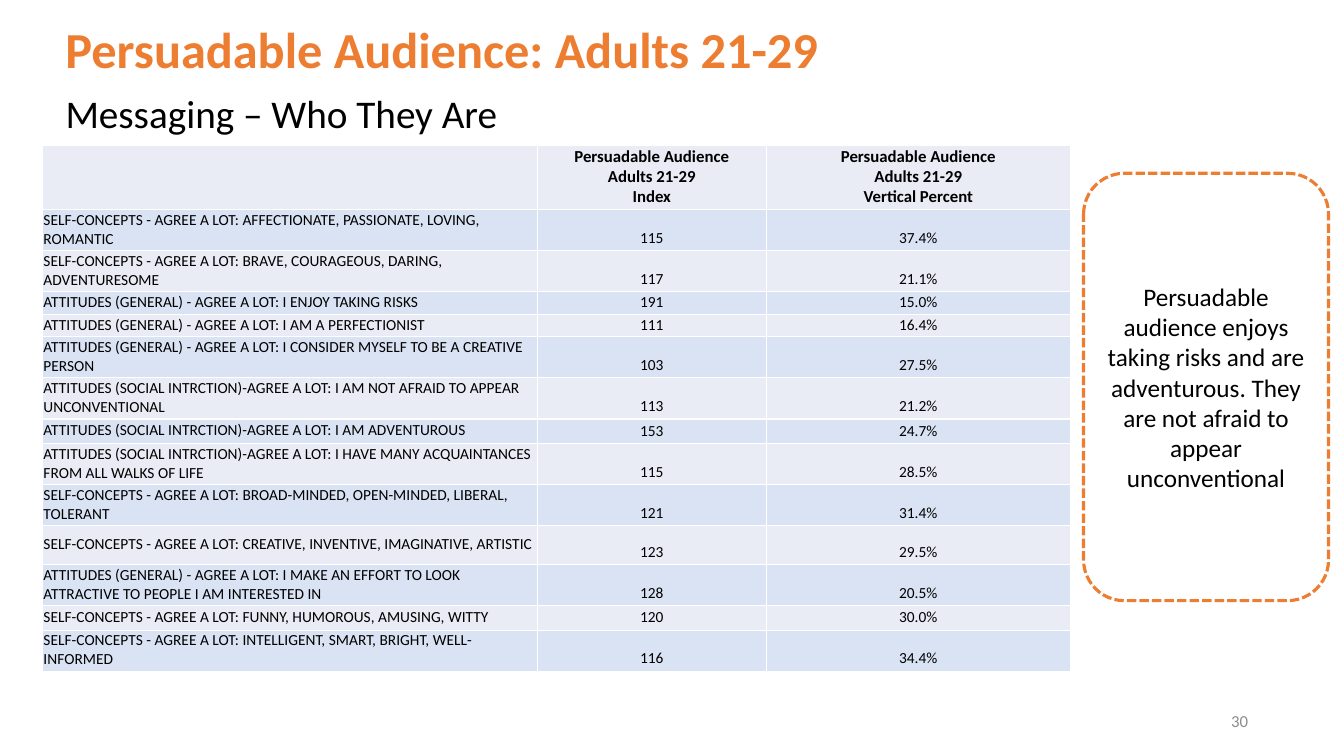
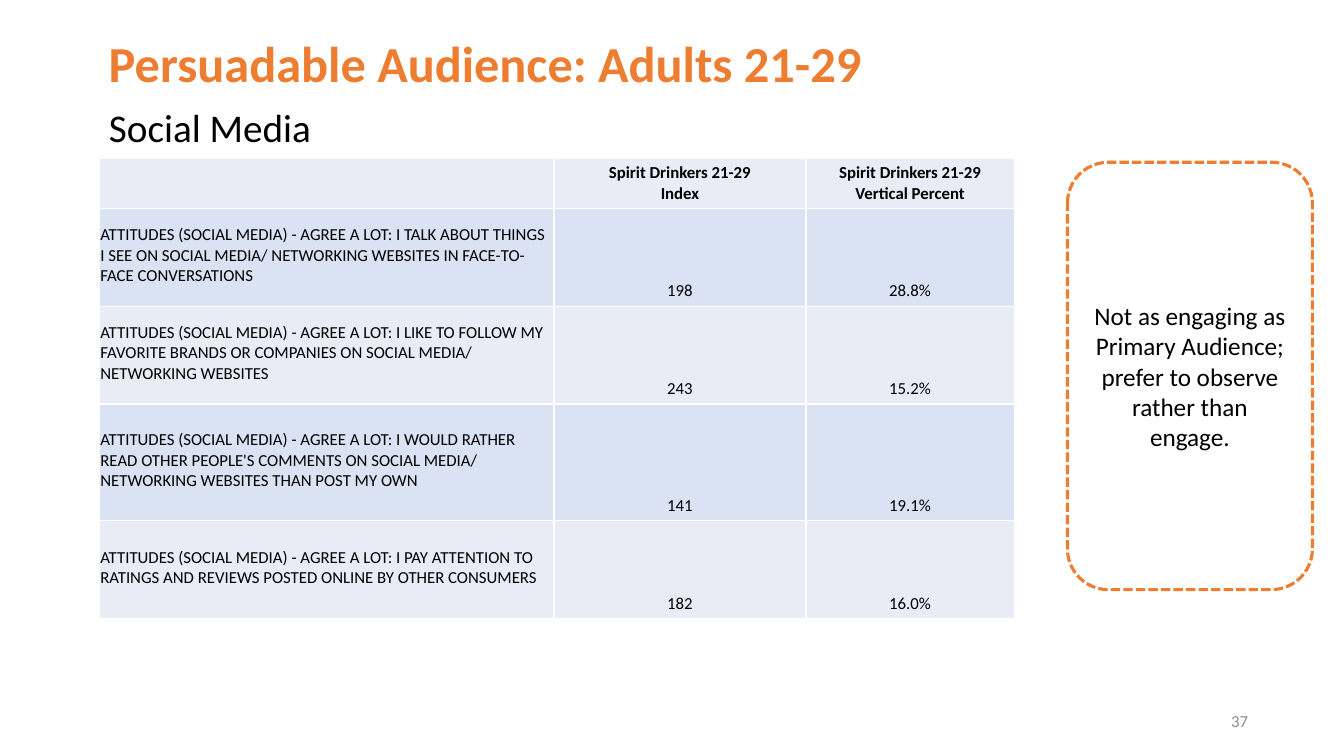
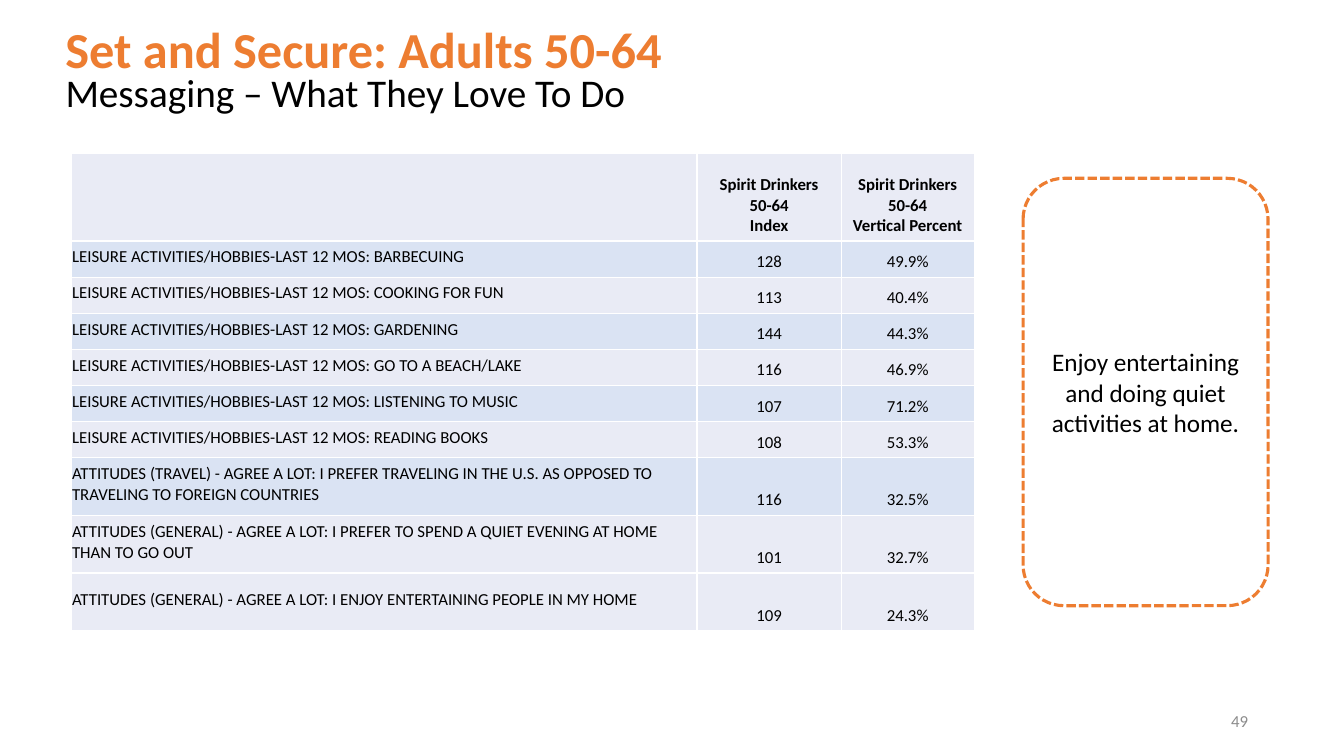
from lxml import etree
from pptx import Presentation
from pptx.dml.color import RGBColor
from pptx.enum.dml import MSO_LINE
from pptx.enum.shapes import MSO_SHAPE
from pptx.enum.text import MSO_ANCHOR, PP_ALIGN
from pptx.oxml.ns import qn
from pptx.util import Pt

LEFT, CENTER, RIGHT = PP_ALIGN.LEFT, PP_ALIGN.CENTER, PP_ALIGN.RIGHT
MIDDLE, BOTTOM = MSO_ANCHOR.MIDDLE, MSO_ANCHOR.BOTTOM
SYSTEM_DASH = MSO_LINE.SQUARE_DOT
ROUNDED = MSO_SHAPE.ROUNDED_RECTANGLE

# Shared look
FONT = "Calibri"
ORANGE, BLACK, GRAY, WHITE = "ED7D31", "000000", "8C8C8C", "FFFFFF"
PLAIN_FILL, BAND_FILL = "E9EBF5", "DAE3F3"
TITLE_WIDTH, TITLE_HEIGHT, HEADLINE_HEIGHT = 828, 104.4, 50.4
CALLOUT_WIDTH, CALLOUT_HEIGHT = 175, 305.3
TITLE_ONLY_LAYOUT = 5


def rgb(value):
    return RGBColor.from_string(value)


def write(text_frame, lines, size, color=BLACK, align=LEFT, anchor=MIDDLE, bold=False, spacing=1.0):
    text_frame.word_wrap = True
    text_frame.vertical_anchor = anchor
    for index, line in enumerate(lines):
        paragraph = text_frame.paragraphs[0] if index == 0 else text_frame.add_paragraph()
        paragraph.alignment = align
        paragraph.line_spacing = spacing
        run = paragraph.add_run()
        run.text = line
        run.font.name = FONT
        run.font.size = Pt(size)
        run.font.bold = bold
        run.font.color.rgb = rgb(color)


# Content: each row is height, label, index, vertical percent
SLIDES = [
    {
        "headline": "Persuadable Audience: Adults 21-29", "headline_at": (39.6, 10.1),
        "title": "Messaging – Who They Are", "title_top": 30.2, "number": "30",
        "table_at": (30.4, 103.7), "columns": (353.5, 163.4, 217.4),
        "header_height": 41, "body_size": 11, "bottom_margin": 2.2,
        "headers": (["Persuadable Audience", "Adults 21-29", "Index"],
                    ["Persuadable Audience", "Adults 21-29", "Vertical Percent"]),
        "banded": (1, 3, 5, 7, 9, 11, 13),
        "rows": [
            (28, "SELF-CONCEPTS - AGREE A LOT: AFFECTIONATE, PASSIONATE, LOVING, ROMANTIC", "115", "37.4%"),
            (28, "SELF-CONCEPTS - AGREE A LOT: BRAVE, COURAGEOUS, DARING, ADVENTURESOME", "117", "21.1%"),
            (15, "ATTITUDES (GENERAL) - AGREE A LOT: I ENJOY TAKING RISKS", "191", "15.0%"),
            (15, "ATTITUDES (GENERAL) - AGREE A LOT: I AM A PERFECTIONIST", "111", "16.4%"),
            (28, "ATTITUDES (GENERAL) - AGREE A LOT: I CONSIDER MYSELF TO BE A CREATIVE PERSON", "103", "27.5%"),
            (28, "ATTITUDES (SOCIAL INTRCTION)-AGREE A LOT: I AM NOT AFRAID TO APPEAR UNCONVENTIONAL",
             "113", "21.2%"),
            (17.5, "ATTITUDES (SOCIAL INTRCTION)-AGREE A LOT: I AM ADVENTUROUS", "153", "24.7%"),
            (28, "ATTITUDES (SOCIAL INTRCTION)-AGREE A LOT: I HAVE MANY ACQUAINTANCES FROM ALL WALKS OF LIFE",
             "115", "28.5%"),
            (28, "SELF-CONCEPTS - AGREE A LOT: BROAD-MINDED, OPEN-MINDED, LIBERAL, TOLERANT", "121", "31.4%"),
            (28, "SELF-CONCEPTS - AGREE A LOT: CREATIVE, INVENTIVE, IMAGINATIVE, ARTISTIC", "123", "29.5%"),
            (28, "ATTITUDES (GENERAL) - AGREE A LOT: I MAKE AN EFFORT TO LOOK ATTRACTIVE TO PEOPLE "
                 "I AM INTERESTED IN", "128", "20.5%"),
            (17.5, "SELF-CONCEPTS - AGREE A LOT: FUNNY, HUMOROUS, AMUSING, WITTY", "120", "30.0%"),
            (28, "SELF-CONCEPTS - AGREE A LOT: INTELLIGENT, SMART, BRIGHT, WELL-INFORMED", "116", "34.4%"),
        ],
        "callout_at": (774, 123.8),
        "callout": "Persuadable audience enjoys taking risks and are adventurous. "
                   "They are not afraid to appear unconventional",
    },
    {
        "headline": "Persuadable Audience: Adults 21-29", "headline_at": (70.6, 20.2),
        "title": "Social Media", "title_top": 40.3, "number": "37",
        "table_at": (71, 113), "columns": (324.7, 180, 148.8),
        "header_height": 36, "body_size": 12, "bottom_margin": 3.6,
        "headers": (["Spirit Drinkers 21-29", "Index"], ["Spirit Drinkers 21-29", "Vertical Percent"]),
        "banded": (1, 3),
        "rows": [
            (69.8, "ATTITUDES (SOCIAL MEDIA) - AGREE A LOT: I TALK ABOUT THINGS I SEE ON SOCIAL MEDIA/ "
                   "NETWORKING WEBSITES IN FACE-TO-FACE CONVERSATIONS", "198", "28.8%"),
            (69.8, "ATTITUDES (SOCIAL MEDIA) - AGREE A LOT: I LIKE TO FOLLOW MY FAVORITE BRANDS OR "
                   "COMPANIES ON SOCIAL MEDIA/ NETWORKING WEBSITES", "243", "15.2%"),
            (83.5, "ATTITUDES (SOCIAL MEDIA) - AGREE A LOT: I WOULD RATHER READ OTHER PEOPLE'S COMMENTS "
                   "ON SOCIAL MEDIA/ NETWORKING WEBSITES THAN POST MY OWN", "141", "19.1%"),
            (69.8, "ATTITUDES (SOCIAL MEDIA) - AGREE A LOT: I PAY ATTENTION TO RATINGS AND REVIEWS "
                   "POSTED ONLINE BY OTHER CONSUMERS", "182", "16.0%"),
        ],
        "callout_at": (762.5, 115.9),
        "callout": "Not as engaging as Primary Audience; prefer to observe rather than engage.",
    },
    {
        "headline": "Set and Secure: Adults 50-64", "headline_at": (39.6, 10.1),
        "title": "Messaging – What They Love To Do", "title_top": 15.8, "number": "49",
        "table_at": (50.8, 109.4), "columns": (447.1, 103, 95),
        "header_height": 62.8, "body_size": 12, "bottom_margin": 3.6,
        "headers": (["Spirit Drinkers", "50-64", "Index"], ["Spirit Drinkers", "50-64", "Vertical Percent"]),
        "banded": (1, 3, 5, 7),
        "rows": [
            (25.8, "LEISURE ACTIVITIES/HOBBIES-LAST 12 MOS: BARBECUING", "128", "49.9%"),
            (25.8, "LEISURE ACTIVITIES/HOBBIES-LAST 12 MOS: COOKING FOR FUN", "113", "40.4%"),
            (25.8, "LEISURE ACTIVITIES/HOBBIES-LAST 12 MOS: GARDENING", "144", "44.3%"),
            (25.8, "LEISURE ACTIVITIES/HOBBIES-LAST 12 MOS: GO TO A BEACH/LAKE", "116", "46.9%"),
            (25.8, "LEISURE ACTIVITIES/HOBBIES-LAST 12 MOS: LISTENING TO MUSIC", "107", "71.2%"),
            (25.8, "LEISURE ACTIVITIES/HOBBIES-LAST 12 MOS: READING BOOKS", "108", "53.3%"),
            (41.2, "ATTITUDES (TRAVEL) - AGREE A LOT: I PREFER TRAVELING IN THE U.S. AS OPPOSED TO "
                   "TRAVELING TO FOREIGN COUNTRIES", "116", "32.5%"),
            (41.2, "ATTITUDES (GENERAL) - AGREE A LOT: I PREFER TO SPEND A QUIET EVENING AT HOME "
                   "THAN TO GO OUT", "101", "32.7%"),
            (41.2, "ATTITUDES (GENERAL) - AGREE A LOT: I ENJOY ENTERTAINING PEOPLE IN MY HOME", "109", "24.3%"),
        ],
        "callout_at": (730.8, 127.4),
        "callout": "Enjoy entertaining and doing quiet activities at home.",
    },
]

presentation = Presentation()
presentation.slide_width, presentation.slide_height = Pt(960), Pt(540)

for content in SLIDES:
    slide = presentation.slides.add_slide(presentation.slide_layouts[TITLE_ONLY_LAYOUT])
    headline_left, headline_top = content["headline_at"]

    # Title placeholder under the headline
    title = slide.shapes.title
    title.left, title.top = Pt(headline_left), Pt(content["title_top"])
    title.width, title.height = Pt(TITLE_WIDTH), Pt(TITLE_HEIGHT)
    write(title.text_frame, [content["title"]], 28, spacing=0.9)

    # Slide number
    number = slide.shapes.add_textbox(Pt(682.6), Pt(500.4), Pt(216), Pt(28.8))
    write(number.text_frame, [content["number"]], 12, GRAY, RIGHT)

    # Table
    rows, columns = content["rows"], content["columns"]
    heights = [content["header_height"]] + [row[0] for row in rows]
    table_left, table_top = content["table_at"]
    table = slide.shapes.add_table(len(heights), len(columns), Pt(table_left), Pt(table_top),
                                   Pt(sum(columns)), Pt(sum(heights))).table
    table.first_row = table.horz_banding = False
    for column, width in zip(table.columns, columns):
        column.width = Pt(width)
    for row_index, height in enumerate(heights):
        table.rows[row_index].height = Pt(height)
        for column_index in range(len(columns)):
            cell = table.cell(row_index, column_index)
            cell.margin_left = cell.margin_right = cell.margin_top = Pt(0.7)
            cell.margin_bottom = Pt(content["bottom_margin"])
            cell.vertical_anchor = BOTTOM if column_index else MIDDLE
            # White cell borders come before the fill
            for side in ("a:lnL", "a:lnR", "a:lnT", "a:lnB"):
                border = etree.SubElement(cell._tc.get_or_add_tcPr(), qn(side), w=str(Pt(1)))
                border_fill = etree.SubElement(border, qn("a:solidFill"))
                etree.SubElement(border_fill, qn("a:srgbClr"), val=WHITE)
            cell.fill.solid()
            cell.fill.fore_color.rgb = rgb(BAND_FILL if row_index in content["banded"] else PLAIN_FILL)
            align = CENTER if column_index else LEFT
            if row_index:
                write(cell.text_frame, [rows[row_index - 1][column_index + 1]], content["body_size"],
                      align=align, anchor=cell.vertical_anchor)
            elif column_index:
                write(cell.text_frame, content["headers"][column_index - 1], 12,
                      align=align, anchor=BOTTOM, bold=True)

    # Headline
    headline = slide.shapes.add_textbox(Pt(headline_left), Pt(headline_top),
                                        Pt(TITLE_WIDTH), Pt(HEADLINE_HEIGHT))
    write(headline.text_frame, [content["headline"]], 36, ORANGE, anchor=BOTTOM, bold=True, spacing=0.9)

    # Dashed callout
    callout_left, callout_top = content["callout_at"]
    callout = slide.shapes.add_shape(ROUNDED, Pt(callout_left), Pt(callout_top),
                                     Pt(CALLOUT_WIDTH), Pt(CALLOUT_HEIGHT))
    callout.shadow.inherit = False
    callout.fill.solid()
    callout.fill.fore_color.rgb = rgb(WHITE)
    callout.line.color.rgb = rgb(ORANGE)
    callout.line.width = Pt(2.25)
    callout.line.dash_style = SYSTEM_DASH
    write(callout.text_frame, [content["callout"]], 18, align=CENTER)

presentation.save("out.pptx")
